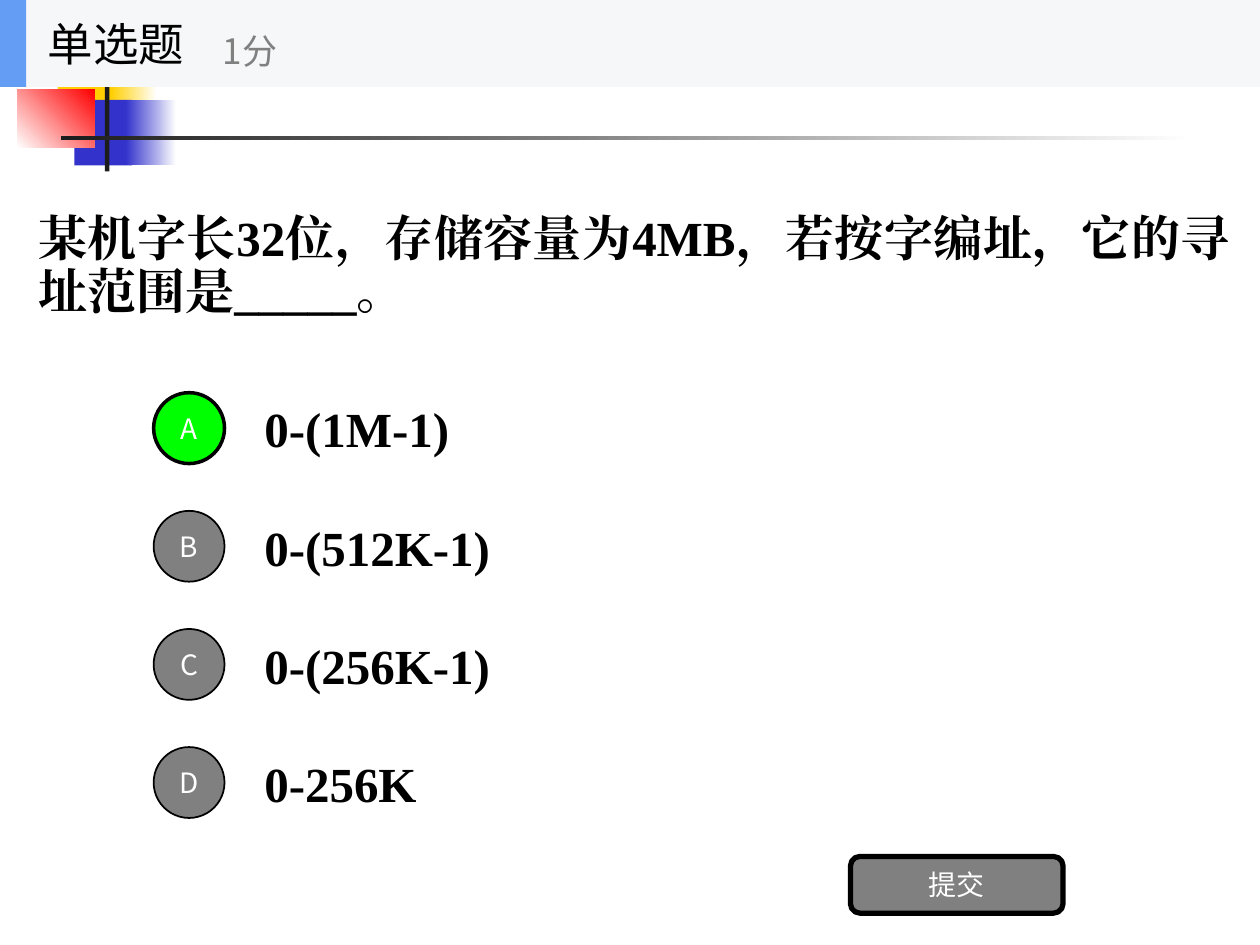
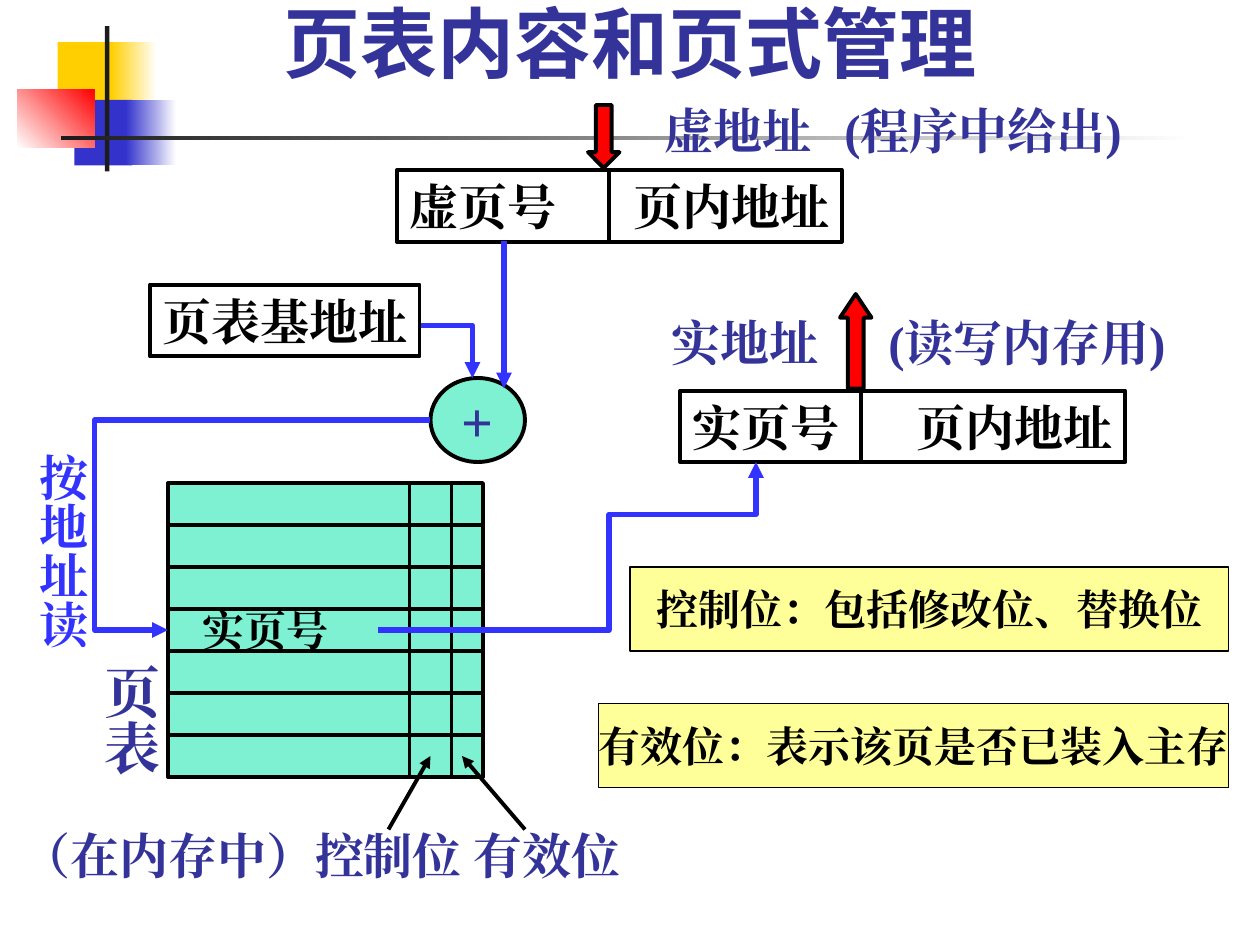
"""Builds a quiz slide and a page-table diagram slide."""
import dataclasses

import pptx
import pptx.dml.color
import pptx.enum.shapes
import pptx.enum.text
import pptx.oxml.ns
import pptx.util
from lxml import etree

Pt = pptx.util.Pt
SHAPE = pptx.enum.shapes.MSO_SHAPE
ALIGN = pptx.enum.text.PP_ALIGN
ANCHOR = pptx.enum.text.MSO_ANCHOR
qn = pptx.oxml.ns.qn


@dataclasses.dataclass(frozen=True)
class Theme:
    """Colours, fonts, type sizes and line widths."""
    black: str = "000000"
    white: str = "FFFFFF"
    ink: str = "1C1C1C"
    gold: str = "FFCF01"
    indigo: str = "3333CC"
    red: str = "FF0000"
    navy: str = "333399"
    flow: str = "3333FF"
    mint: str = "00E4A8"
    note: str = "FFFF99"
    grey: str = "808080"
    chosen: str = "00FF00"
    bar: str = "F6F7F8"
    accent: str = "639EF4"
    serif: str = "Times New Roman"
    sans: str = "Noto Sans CJK SC"
    title_font: str = "Cabin"
    title: int = 44
    large: int = 32
    body: int = 28
    heading: int = 26
    small: int = 24
    points: int = 20
    button: int = 16
    rule: float = 2.25
    flow_rule: float = 3


T = Theme()


def rgb(color):
    """Turn a hex string into a colour."""
    return pptx.dml.color.RGBColor.from_string(color)


def style_line(line, color, width, arrow=False):
    """Set line colour and width, and an optional arrowhead at its end."""
    line.color.rgb = rgb(color)
    line.width = Pt(width)
    if arrow:
        etree.SubElement(line._get_or_add_ln(), qn("a:tailEnd"), type="triangle")


def write(sp, text, size, color=T.black, font=T.serif, bold=True,
          align=ALIGN.CENTER, anchor=ANCHOR.MIDDLE, wrap=False, tab=None):
    """Write one paragraph into a shape, with an optional tab stop in points."""
    tf = sp.text_frame
    tf.word_wrap = wrap
    tf.vertical_anchor = anchor
    p = tf.paragraphs[0]
    p.text = text
    p.alignment = align
    if tab:
        tf.margin_right = 0
        tabs = etree.SubElement(p._p.get_or_add_pPr(), qn("a:tabLst"))
        etree.SubElement(tabs, qn("a:tab"), pos=str(Pt(tab)), algn="l")
    for r in p.runs:
        r.font.size = Pt(size)
        r.font.bold = bold
        r.font.name = font
        r.font.color.rgb = rgb(color)
        etree.SubElement(r._r.get_or_add_rPr(), qn("a:ea"), typeface=font)
    return tf


def add_box(slide, kind, at, fill=None, line=None, width=T.rule):
    """Add a preset shape with a flat fill and an optional outline."""
    sp = slide.shapes.add_shape(kind, *map(Pt, at))
    sp.shadow.inherit = False
    if fill:
        sp.fill.solid()
        sp.fill.fore_color.rgb = rgb(fill)
    else:
        sp.fill.background()
    if line:
        style_line(sp.line, line, width)
    else:
        sp.line.fill.background()
    return sp


def add_fade(slide, at, start, end, angle=0):
    """Add a rectangle with a two-colour gradient."""
    sp = add_box(slide, SHAPE.RECTANGLE, at)
    sp.fill.gradient()
    sp.fill.gradient_angle = angle
    for stop, color in zip(sp.fill.gradient_stops, (start, end)):
        stop.color.rgb = rgb(color)


def add_mint(slide, kind, at):
    """Add an outlined shape with a half-transparent mint fill."""
    sp = add_box(slide, kind, at, T.mint, T.black)
    color = sp._element.spPr.find(qn("a:solidFill")).find(qn("a:srgbClr"))
    etree.SubElement(color, qn("a:alpha"), val="50000")
    return sp


def add_label(slide, at, text, size, color=T.black, vertical=False, **style):
    """Add a text box, optionally with vertical East Asian text."""
    sp = slide.shapes.add_textbox(*map(Pt, at))
    tf = write(sp, text, size, color, **style)
    if vertical:
        tf.margin_left = tf.margin_right = Pt(3.6)
        tf.margin_top = tf.margin_bottom = Pt(7.2)
        tf._txBody.bodyPr.set("vert", "eaVert")


def add_line(slide, start, end, color=T.black, width=T.rule, arrow=False):
    """Add a straight connector."""
    s = slide.shapes.add_connector(pptx.enum.shapes.MSO_CONNECTOR.STRAIGHT,
                                   *map(Pt, start + end))
    style_line(s.line, color, width, arrow)
    etree.SubElement(s._element.spPr, qn("a:effectLst"))


def add_flow(slide, *points):
    """Add a bent data-flow arrow through the points."""
    first, *rest = [tuple(map(Pt, point)) for point in points]
    builder = slide.shapes.build_freeform(*first)
    builder.add_line_segments(rest, close=False)
    sp = builder.convert_to_shape()
    sp.shadow.inherit = False
    sp.fill.background()
    style_line(sp.line, T.flow, T.flow_rule, arrow=True)


def add_address(slide, left, top, split, text):
    """Add an address box divided into page number and offset."""
    sp = add_box(slide, SHAPE.RECTANGLE, (left, top, 254.2, 41), None, T.black)
    write(sp, text, T.body, align=ALIGN.LEFT, wrap=True, tab=128)
    add_line(slide, (split, top - 1.2), (split, top + 41))


def add_emblem(slide):
    """Draw the coloured squares and crossing rules shared by the slides."""
    add_box(slide, SHAPE.RECTANGLE, (33, 24, 34.5, 37.5), T.gold)
    add_fade(slide, (63.5, 24, 26, 37.5), T.gold, T.white)
    add_box(slide, SHAPE.RECTANGLE, (42.5, 57, 33, 37.5), T.indigo)
    add_fade(slide, (72, 57, 28.8, 37.5), T.indigo, T.white)
    add_fade(slide, (10, 51, 44, 33.5), T.white, T.red, 45)
    add_box(slide, SHAPE.RECTANGLE, (60, 15, 2.5, 83), T.ink)
    add_fade(slide, (35, 77.8, 648, 2.5), T.ink, T.white)


def new_slide(prs):
    """Add a blank slide with the emblem."""
    slide = prs.slides.add_slide(prs.slide_layouts[6])
    add_emblem(slide)
    return slide


def add_option(slide, index, text, chosen):
    """Add one answer with its lettered button."""
    top = 219.6 + 67.5 * index
    add_label(slide, (144, top, 504, 50.4), text, T.body, align=ALIGN.LEFT, wrap=True)
    sp = add_box(slide, SHAPE.OVAL, (87.8, top + 4.8, 40.5, 40.5),
                 T.chosen if chosen else T.grey, T.black, 2 if chosen else 1)
    write(sp, "ABCD"[index], T.button, T.white, T.sans, bold=False)


def build_quiz(prs):
    """Build the single-choice question."""
    slide = new_slide(prs)
    add_label(slide, (15, 118.8, 695, 94.3),
              "某机字长32位，存储容量为4MB，若按字编址，它的寻址范围是_____。",
              T.body, align=ALIGN.JUSTIFY, anchor=ANCHOR.TOP, wrap=True)
    slide.shapes[-1].text_frame.paragraphs[0].line_spacing = 0.9
    for i, text in enumerate(["0-(1M-1)", "0-(512K-1)", "0-(256K-1)", "0-256K"]):
        add_option(slide, i, text, chosen=i == 0)
    submit = add_box(slide, SHAPE.ROUNDED_RECTANGLE, (486, 489.4, 121.5, 32.4),
                     T.grey, T.black, 3)
    write(submit, "提交", T.button, T.white, T.sans, bold=False)
    add_box(slide, SHAPE.RECTANGLE, (0, 0, 720, 49.7), T.bar)
    add_box(slide, SHAPE.RECTANGLE, (0, 0, 15, 49.7), T.accent)
    plain = dict(font=T.sans, bold=False, align=ALIGN.LEFT, wrap=True)
    add_label(slide, (20.2, 0, 150, 49.7), "单选题", T.heading, **plain)
    add_label(slide, (120.2, 8.6, 180, 40.3), "1分", T.points, T.grey, **plain)


def add_page_table(slide):
    """Draw the page table with its rows and the two flag columns."""
    left, top, width, row, rows = 96, 276, 180, 24, 7
    bottom, right = top + row * rows, left + width
    add_mint(slide, SHAPE.RECTANGLE, (left, top, width, row * rows))
    for x in (right - 42, right - 18):
        add_line(slide, (x, top), (x, bottom))
    for y in range(top + row, bottom, row):
        add_line(slide, (left, y), (right, y))
    add_label(slide, (108.7, 342, 86.4, 36), "实页号", T.small)


def build_paging(prs):
    """Build the address translation diagram."""
    slide = new_slide(prs)
    add_label(slide, (54, 0, 612, 54), "页表内容和页式管理", T.title, T.navy,
              font=T.title_font, anchor=ANCHOR.BOTTOM, wrap=True)
    add_page_table(slide)
    adder = add_mint(slide, SHAPE.OVAL, (246, 216, 54, 48))
    write(adder, "+", T.large, T.navy)

    add_label(slide, (0, 468, 367, 41), "（在内存中）控制位 有效位", T.body, T.navy, wrap=True)
    add_label(slide, (48.2, 372.2, 52.6, 71.3), "页表", T.large, T.navy, vertical=True)
    add_label(slide, (12.2, 252, 47.5, 119.5), "按地址读", T.body, T.flow, vertical=True)
    for at, text, tab in [((372.5, 54, 310, 41), "虚地址\t(程序中给出)", 103),
                          ((376.5, 175, 320, 41), "实地址\t(读写内存用)", 124)]:
        add_label(slide, at, text, T.body, T.navy, align=ALIGN.LEFT, wrap=True, tab=tab)

    up = add_box(slide, SHAPE.UP_ARROW, (480, 168, 18, 54), T.red, T.black)
    up.adjustments[1] = 0.75
    add_box(slide, SHAPE.DOWN_ARROW, (336, 60, 18, 36), T.red, T.black)
    add_line(slide, (222, 474), (246, 432), arrow=True)
    add_line(slide, (300, 474), (264, 432), arrow=True)

    add_address(slide, 226.8, 97.2, 348, "虚页号\t页内地址")
    add_address(slide, 388.8, 223.2, 492, "实页号\t页内地址")
    add_flow(slide, (240, 186), (270, 186), (270, 216))
    add_flow(slide, (246, 240), (54, 240), (54, 360), (96, 360))
    add_flow(slide, (216, 360), (348, 360), (348, 294), (432, 294), (432, 264))
    add_line(slide, (288, 138), (288, 222), T.flow, T.flow_rule, arrow=True)

    base = add_box(slide, SHAPE.RECTANGLE, (85.7, 162.7, 154.1, 41), None, T.black)
    write(base, "页表基地址", T.body)
    for at, text in [((360, 324, 342, 48), "控制位：包括修改位、替换位"),
                     ((342, 402, 360, 48), "有效位：表示该页是否已装入主存")]:
        write(add_box(slide, SHAPE.RECTANGLE, at, T.note, T.black, 0.75), text, T.small)


def main():
    """Build and save the presentation."""
    prs = pptx.Presentation()
    prs.slide_width, prs.slide_height = Pt(720), Pt(540)
    build_quiz(prs)
    build_paging(prs)
    prs.save("out.pptx")


if __name__ == "__main__":
    main()
